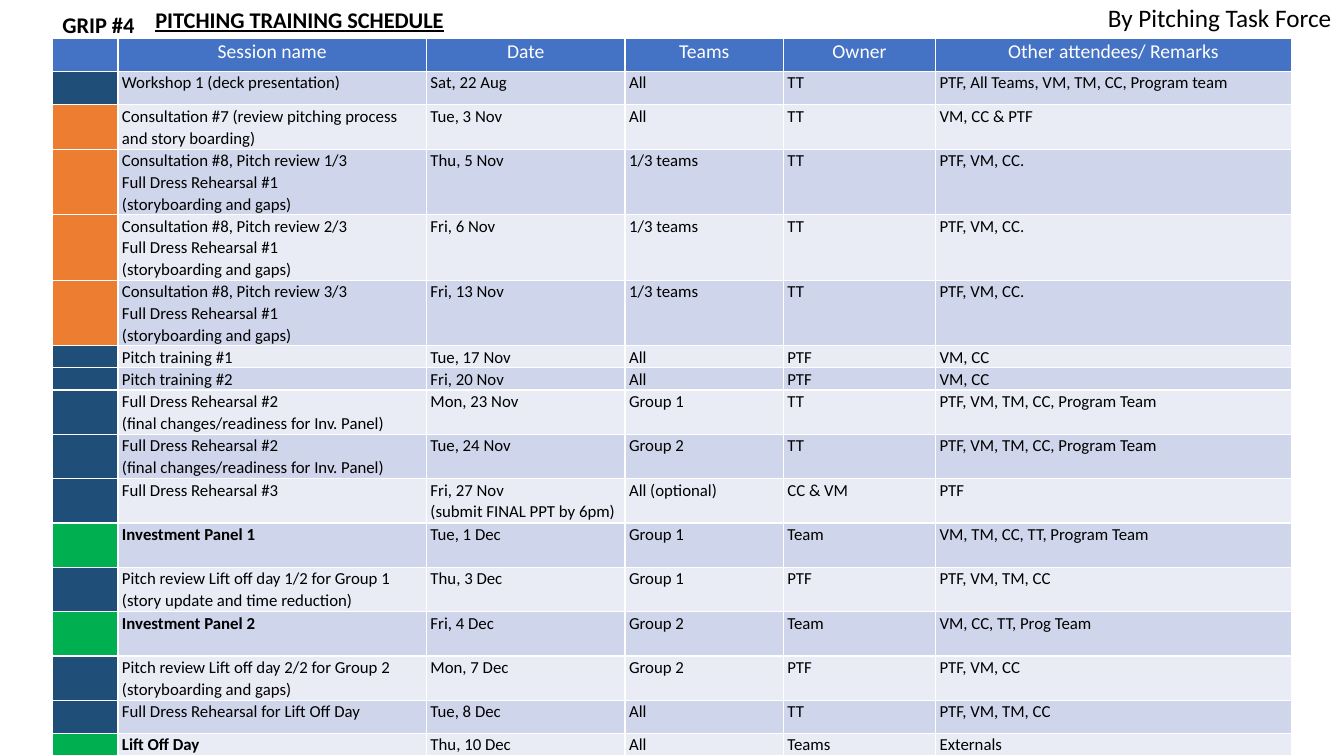
from dataclasses import dataclass

from pptx import Presentation
from pptx.dml.color import RGBColor
from pptx.enum.text import MSO_ANCHOR as Anchor, MSO_AUTO_SIZE as AutoSize, PP_ALIGN as Align
from pptx.util import Inches, Pt

COLORS = {
    "black": "000000",
    "white": "FFFFFF",
    "header": "4472C4",
    "band_dark": "CFD5EA",
    "band_light": "E9EBF5",
    "training": "1F4E79",
    "consultation": "ED7D31",
    "milestone": "00B050",
}
FONT = "Calibri"
COLUMN_WIDTHS = (0.65, 3.06, 1.97, 1.57, 1.51, 3.53)
HEADINGS = ("", "Session name", "Date", "Teams", "Owner", "Other attendees/ Remarks")
REHEARSAL_1 = "\nFull Dress Rehearsal #1\n(storyboarding and gaps)"
REHEARSAL_2 = "Full Dress Rehearsal #2\n(final changes/readiness for Inv. Panel)"


@dataclass
class Label:
    text: str
    left: float
    top: float
    width: float
    height: float
    size: int
    bold: bool = False
    underline: bool = False


@dataclass
class Session:
    phase: str
    name: str
    date: str
    teams: str
    owner: str
    attendees: str
    height: float = 0.44

    def texts(self) -> tuple:
        return "", self.name, self.date, self.teams, self.owner, self.attendees


TITLE = Label("PITCHING TRAINING SCHEDULE", 1.44, 0.01, 3.1, 0.37, 16, True, True)
LABELS = (
    Label("GRIP #4", 0.52, 0.06, 0.93, 0.37, 16, True),
    Label("By Pitching Task Force", 10.89, -0.03, 2.44, 0.4, 18),
)
SESSIONS = (
    Session("training", "Workshop 1 (deck presentation)", "Sat, 22 Aug", "All", "TT",
            "PTF, All Teams, VM, TM, CC, Program team", 0.33),
    Session("consultation", "Consultation #7 (review pitching process and story boarding)",
            "Tue, 3 Nov", "All", "TT", "VM, CC & PTF"),
    *(Session("consultation", f"Consultation #8, Pitch review {part}/3{REHEARSAL_1}", date,
              "1/3 teams", "TT", "PTF, VM, CC.", 0.65)
      for part, date in enumerate(("Thu, 5 Nov", "Fri, 6 Nov", "Fri, 13 Nov"), 1)),
    Session("training", "Pitch training #1", "Tue, 17 Nov", "All", "PTF", "VM, CC", 0.22),
    Session("training", "Pitch training #2", "Fri, 20 Nov", "All", "PTF", "VM, CC", 0.22),
    Session("training", REHEARSAL_2, "Mon, 23 Nov", "Group 1", "TT", "PTF, VM, TM, CC, Program Team"),
    Session("training", REHEARSAL_2, "Tue, 24 Nov", "Group 2", "TT", "PTF, VM, TM, CC, Program Team"),
    Session("training", "Full Dress Rehearsal #3", "Fri, 27 Nov\n(submit FINAL PPT by 6pm)",
            "All (optional)", "CC & VM", "PTF"),
    Session("milestone", "Investment Panel 1", "Tue, 1 Dec", "Group 1", "Team",
            "VM, TM, CC, TT, Program Team"),
    Session("training", "Pitch review Lift off day 1/2 for Group 1 (story update and time reduction)",
            "Thu, 3 Dec", "Group 1", "PTF", "PTF, VM, TM, CC"),
    Session("milestone", "Investment Panel 2", "Fri, 4 Dec", "Group 2", "Team",
            "VM, CC, TT, Prog Team"),
    Session("training", "Pitch review Lift off day 2/2 for Group 2 (storyboarding and gaps)",
            "Mon, 7 Dec", "Group 2", "PTF", "PTF, VM, CC"),
    Session("training", "Full Dress Rehearsal for Lift Off Day", "Tue, 8 Dec", "All", "TT",
            "PTF, VM, TM, CC", 0.33),
    Session("milestone", "Lift Off Day", "Thu, 10 Dec", "All", "Teams", "Externals", 0.22),
)


def rgb(name: str) -> RGBColor:
    return RGBColor.from_string(COLORS[name])


def set_font(paragraph, size: int, color: str, bold: bool = False) -> None:
    font = paragraph.font
    font.name, font.size, font.bold = FONT, Pt(size), bold
    font.color.rgb = rgb(color)


def format_label(shape, label: Label) -> None:
    shape.left, shape.top = Inches(label.left), Inches(label.top)
    shape.width, shape.height = Inches(label.width), Inches(label.height)
    frame = shape.text_frame
    frame.text = label.text
    frame.word_wrap = False
    frame.auto_size = AutoSize.SHAPE_TO_FIT_TEXT
    frame.vertical_anchor = Anchor.TOP
    paragraph = frame.paragraphs[0]
    paragraph.alignment = Align.LEFT
    set_font(paragraph, label.size, "black", label.bold)
    paragraph.font.underline = label.underline


def fill_cell(cell, text: str, fill: str, heading: bool = False, bold: bool = False) -> None:
    cell.fill.solid()
    cell.fill.fore_color.rgb = rgb(fill)
    cell.margin_left = cell.margin_right = Inches(0.04)
    cell.margin_top = cell.margin_bottom = 0
    cell.text_frame.text = text
    for paragraph in cell.text_frame.paragraphs:
        paragraph.line_spacing = 1.07
        paragraph.alignment = Align.CENTER if heading else Align.LEFT
        set_font(paragraph, 14 if heading else 12, "white" if heading else "black", bold)
        if not text:
            paragraph._p.get_or_add_endParaRPr().set("sz", "1000")


def add_schedule(slide) -> None:
    heights = [0.33] + [session.height for session in SESSIONS]
    schedule = slide.shapes.add_table(
        len(heights), len(COLUMN_WIDTHS), Inches(0.52), Inches(0.38),
        Inches(sum(COLUMN_WIDTHS)), Inches(sum(heights))).table
    for column, width in zip(schedule.columns, COLUMN_WIDTHS):
        column.width = Inches(width)
    for row, height in zip(schedule.rows, heights):
        row.height = Inches(height)
    for column, heading in enumerate(HEADINGS):
        fill_cell(schedule.cell(0, column), heading, "header", heading=True)
    for row, session in enumerate(SESSIONS, 1):
        band = "band_dark" if row % 2 else "band_light"
        for column, text in enumerate(session.texts()):
            fill_cell(schedule.cell(row, column), text, band if column else session.phase,
                      bold=column == 1 and session.phase == "milestone")


def main() -> None:
    deck = Presentation()
    deck.slide_width, deck.slide_height = Inches(13.33), Inches(7.5)
    slide = deck.slides.add_slide(deck.slide_layouts[5])
    format_label(slide.shapes.title, TITLE)
    add_schedule(slide)
    for label in LABELS:
        format_label(slide.shapes.add_textbox(0, 0, 0, 0), label)
    deck.save("out.pptx")


if __name__ == "__main__":
    main()
